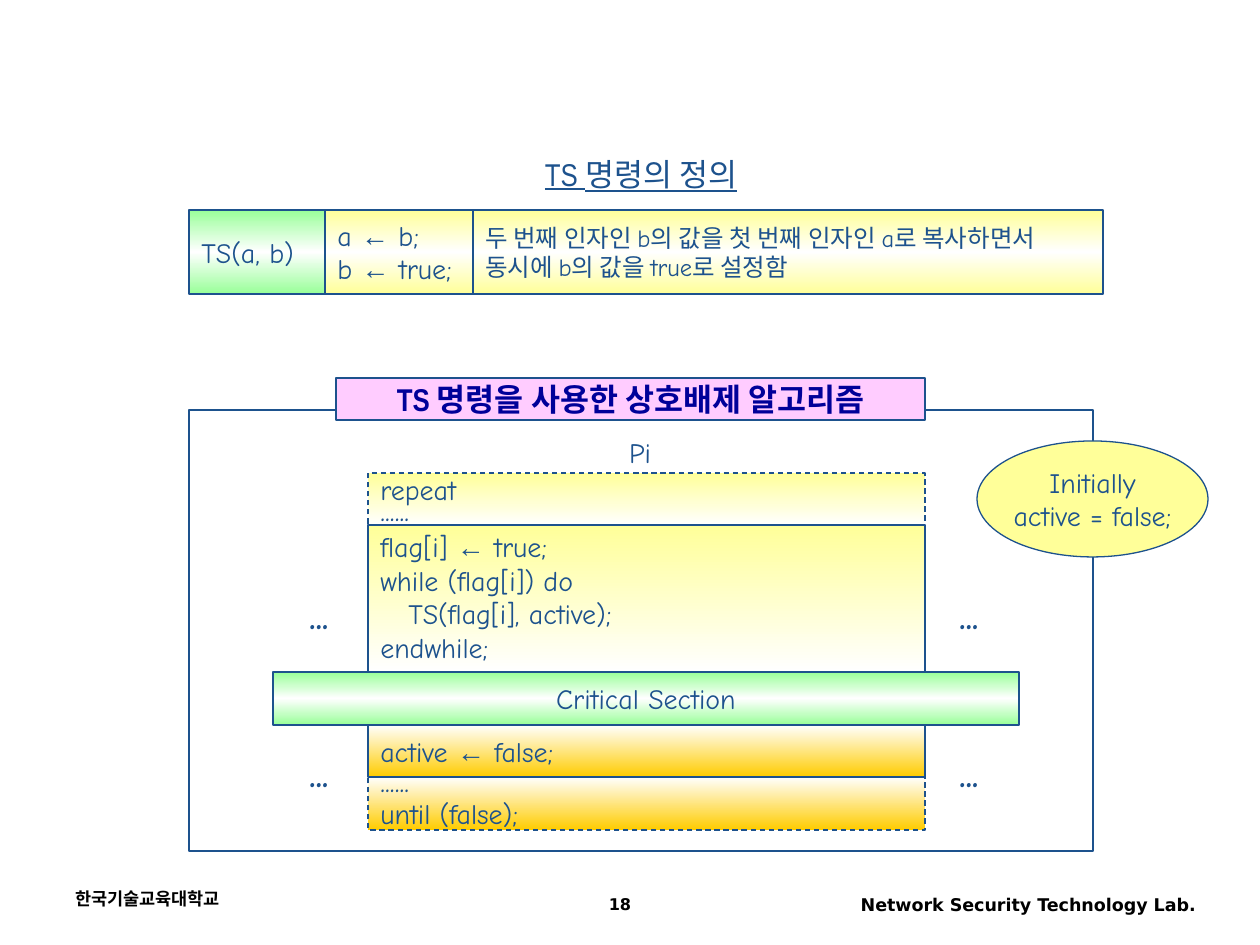
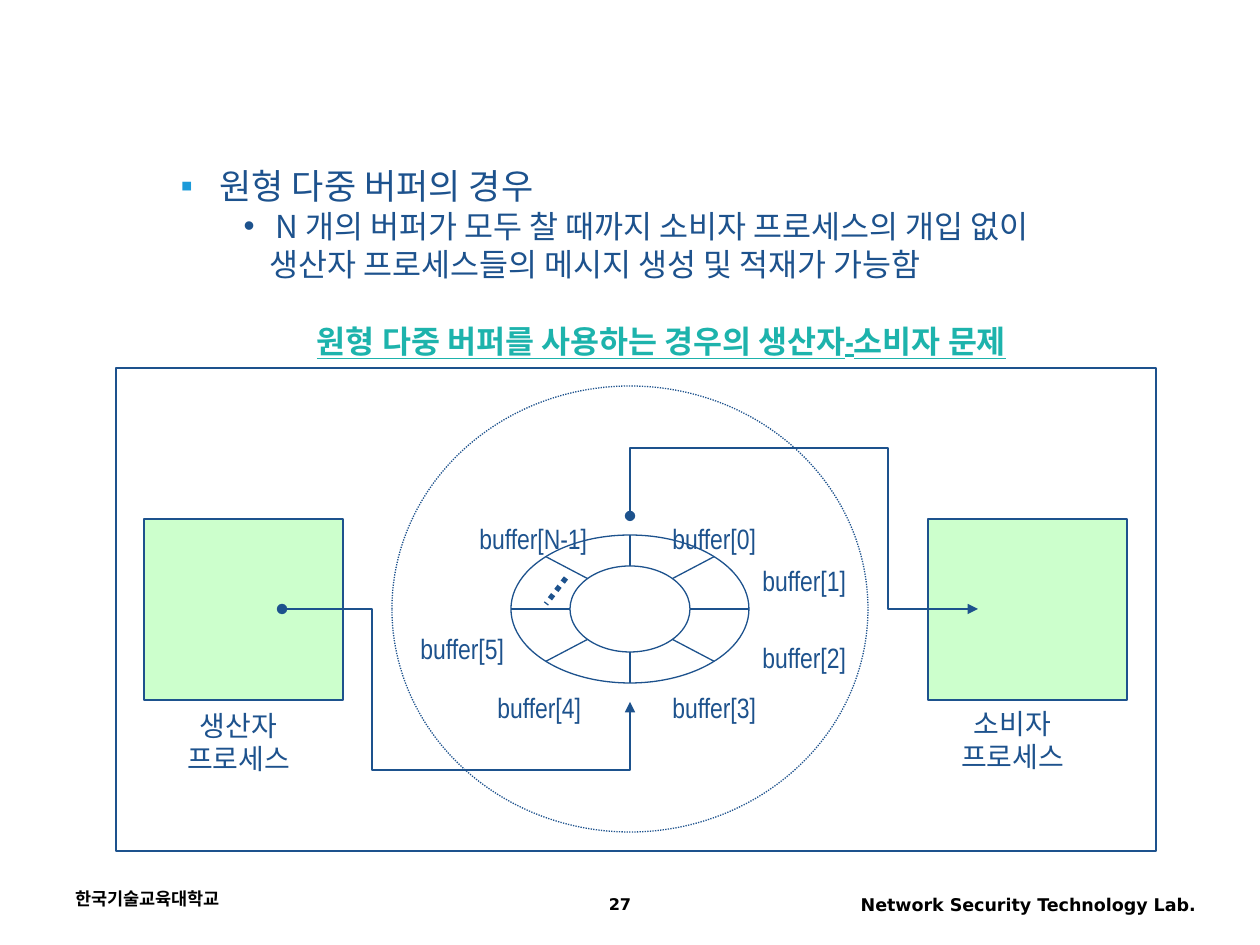
from math import cos, pi, sin

from lxml import etree
from pptx import Presentation
from pptx.dml.color import RGBColor
from pptx.enum.dml import MSO_LINE
from pptx.enum.shapes import MSO_CONNECTOR, MSO_SHAPE
from pptx.enum.text import MSO_ANCHOR, MSO_AUTO_SIZE, PP_ALIGN
from pptx.oxml.ns import qn
from pptx.util import Emu, Pt

PX = 914400 / 126
RECT, ELLIPSE = MSO_SHAPE.RECTANGLE, MSO_SHAPE.OVAL
STRAIGHT = MSO_CONNECTOR.STRAIGHT
LEFT, CENTER, RIGHT = PP_ALIGN.LEFT, PP_ALIGN.CENTER, PP_ALIGN.RIGHT
TOP, MIDDLE = MSO_ANCHOR.TOP, MSO_ANCHOR.MIDDLE
NO_AUTOFIT = MSO_AUTO_SIZE.NONE
DASH, DOTS = MSO_LINE.DASH, MSO_LINE.ROUND_DOT

COLORS = {
    "ink": "1D528D", "black": "000000", "white": "FFFFFF",
    "navy": "000099", "teal": "1DB3AC", "bullet": "1B9AD9",
    "green": "99FF99", "pale_green": "CCFFCC", "yellow": "FFFF99",
    "orange": "FFCC00", "pink": "FFCCFF",
}
CODE, NARROW, FOOTER, KOREAN, ARROW = (
    "Comic Neue", "Arial Narrow", "DejaVu Sans", "Noto Sans CJK KR", "Arial")
GREEN_BAND = ("green", "white", "green")
YELLOW_BAND = ("yellow", "white", "yellow")
YELLOW_FADE = ("yellow", "white")
ORANGE_FADE = ("white", "orange")
ELLIPSIS = ("......", {"size": 18, "line_spacing": 0.5})


def px(*values):
    return [Emu(round(v * PX)) for v in values]


def rgb(name):
    return RGBColor.from_string(COLORS[name])


def add_run(p, text, font, size, color, **flags):
    r = p.add_run()
    r.text = text
    formats = {"name": font, "size": Pt(size), **flags}
    for key, value in formats.items():
        setattr(r.font, key, value)
    r.font.color.rgb = rgb(color)
    etree.SubElement(r.font._element, qn("a:ea"), typeface=KOREAN)


def write(sp, lines, align=LEFT, anchor=MIDDLE, wrap=True, font=CODE,
          size=16, color="ink", **flags):
    """Fill a shape; a line is a string or (string, format overrides)."""
    tf = sp.text_frame
    frame = {"auto_size": NO_AUTOFIT, "word_wrap": wrap, "vertical_anchor": anchor}
    for key, value in frame.items():
        setattr(tf, key, value)
    for i, line in enumerate(lines):
        text, extra = (line, {}) if isinstance(line, str) else line
        p = tf.paragraphs[0] if i == 0 else tf.add_paragraph()
        p.alignment = align
        p.line_spacing = extra.get("line_spacing", 1.0)
        for part in text.partition("←"):
            if part:
                add_run(p, part, ARROW if part == "←" else font,
                        extra.get("size", size), color, **flags)


def add_text(s, box, lines, **style):
    sp = s.shapes.add_textbox(*px(*box))
    write(sp, lines, **style)


def set_line(sp, width=0.75, dash=None):
    sp.line.color.rgb = rgb("ink")
    sp.line.width = Pt(width)
    if dash:
        sp.line.dash_style = dash


def set_gradient(sp, names):
    """Spread the named colours evenly from top to bottom."""
    sp.fill.gradient()
    sp.fill.gradient_angle = 270
    stops = sp.element.spPr.find(qn("a:gradFill")).find(qn("a:gsLst"))
    for old in list(stops):
        stops.remove(old)
    for i, name in enumerate(names):
        stop = etree.SubElement(stops, qn("a:gs"),
                                pos=str(100000 * i // (len(names) - 1)))
        etree.SubElement(stop, qn("a:srgbClr"), val=COLORS[name])


def add_box(s, box, fill=None, lines=(), kind=RECT, dash=None, **style):
    sp = s.shapes.add_shape(kind, *px(*box))
    sp.shadow.inherit = False
    if fill is None:
        sp.fill.background()
    elif isinstance(fill, tuple):
        set_gradient(sp, fill)
    else:
        sp.fill.solid()
        sp.fill.fore_color.rgb = rgb(fill)
    set_line(sp, dash=dash)
    if lines:
        write(sp, lines, **style)


def add_ellipse(s, center, radii, dash=None):
    (cx, cy), (rx, ry) = center, radii
    add_box(s, (cx - rx, cy - ry, 2 * rx, 2 * ry), "white", kind=ELLIPSE, dash=dash)


def add_line(s, start, end, **line):
    cxn = s.shapes.add_connector(STRAIGHT, *px(*start, *end))
    set_line(cxn, **line)
    etree.SubElement(cxn.element.spPr, qn("a:effectLst"))


def add_flow(s, points):
    """Bent line with a dot at its start and an arrowhead at its end."""
    corners = [px(*point) for point in points]
    builder = s.shapes.build_freeform(*corners[0])
    builder.add_line_segments(corners[1:], close=False)
    sp = builder.convert_to_shape()
    sp.shadow.inherit = False
    sp.fill.background()
    set_line(sp)
    ln = sp.element.spPr.find(qn("a:ln"))
    etree.SubElement(ln, qn("a:headEnd"), type="oval")
    etree.SubElement(ln, qn("a:tailEnd"), type="triangle")


def place(sp, box):
    sp.left, sp.top, sp.width, sp.height = px(*box)


def add_slide(prs, layout, number, title, box, **style):
    s = prs.slides.add_slide(prs.slide_layouts[layout])
    place(s.shapes.title, box)
    write(s.shapes.title, [title], align=CENTER, wrap=False, font=NARROW,
          size=18, underline=True, **style)
    footers = [
        ((63, 882, 294, 42), "한국기술교육대학교", LEFT, 10),
        ((809, 888, 399, 40), "Network Security Technology Lab.", RIGHT, 10),
        ((473, 888, 294, 35), str(number), CENTER, 9.2),
    ]
    for place_px, text, align, size in footers:
        add_text(s, place_px, [text], align=align, anchor=TOP, font=FOOTER,
                 size=size, color="black", bold=True)
    return s


def fill_body(sp, items):
    """Each item is text, size, left margin, indent, spacing, bullet, colour."""
    write(sp, [(text, {"size": size, "line_spacing": spacing})
               for text, size, _, _, spacing, _, _ in items],
          anchor=TOP, font=KOREAN)
    for i, (p, item) in enumerate(zip(sp.text_frame.paragraphs, items)):
        _, _, margin, indent, _, bullet, color = item
        p.space_before = Pt(4.5 if i else 0)
        pPr = p._p.get_or_add_pPr()
        for key, value in zip(("marL", "indent"), px(margin, indent)):
            pPr.set(key, str(value))
        if bullet:
            bu_color = etree.SubElement(pPr, qn("a:buClr"))
            etree.SubElement(bu_color, qn("a:srgbClr"), val=COLORS[color])
            etree.SubElement(pPr, qn("a:buChar"), char=bullet)
        else:
            etree.SubElement(pPr, qn("a:buNone"))


def build_test_and_set(prs):
    s = add_slide(prs, 5, 18, "TS 명령의 정의", (368, 158, 546, 32))
    row_top, row_height = 210, 84
    add_box(s, (325, row_top, 148, row_height), YELLOW_BAND,
            ["a ← b;", "b ← true;"])
    add_box(s, (473, row_top, 630, row_height), YELLOW_BAND,
            ["두 번째 인자인 b의 값을 첫 번째 인자인 a로 복사하면서",
             "동시에 b의 값을 true로 설정함"], size=14)
    add_box(s, (189, row_top, 136, row_height), GREEN_BAND, ["TS(a, b)"])

    add_box(s, (189, 410, 904, 441))
    add_box(s, (336, 378, 589, 42), "pink", ["TS 명령을 사용한 상호배제 알고리즘"],
            align=CENTER, font=NARROW, size=18, color="navy", bold=True)
    add_text(s, (524, 431, 232, 42), ["Pi"], align=CENTER)

    loop = ["flag[i] ← true;", "while (flag[i]) do",
            "   TS(flag[i], active);", "endwhile;"]
    loop[0] = (loop[0], {"line_spacing": 0.9})
    steps = [
        (473, 52, YELLOW_FADE, ["repeat", ELLIPSIS], DASH),
        (525, 147, YELLOW_FADE, loop, None),
        (725, 52, ORANGE_FADE, ["active ← false;"], None),
        (777, 53, ORANGE_FADE, [ELLIPSIS, "until (false);"], DASH),
    ]
    for top, height, fill, lines, dash in steps:
        add_box(s, (368, top, 557, height), fill, lines, dash=dash)
    add_line(s, (368, 777), (925, 777))
    add_box(s, (273, 672, 746, 53), GREEN_BAND, ["Critical Section"], align=CENTER)

    for left in (297, 947):
        for top in (588, 746):
            add_text(s, (left, top, 44, 55), ["..."], align=CENTER,
                     wrap=False, size=20, bold=True)
    add_box(s, (977, 441, 231, 116), "yellow", ["Initially", "active = false;"],
            kind=ELLIPSE, align=CENTER, wrap=False)


def add_ring(s, center, outer, inner, sectors):
    add_ellipse(s, center, outer)
    add_ellipse(s, center, inner)
    cx, cy = center
    for i in range(sectors):
        angle = 2 * pi * i / sectors
        ends = [(cx + rx * cos(angle), cy + ry * sin(angle))
                for rx, ry in (inner, outer)]
        add_line(s, *ends)


def build_circular_buffer(prs):
    s = add_slide(prs, 1, 27, "원형 다중 버퍼를 사용하는 경우의 생산자-소비자 문제",
                  (273, 325, 777, 32), color="teal", bold=True)
    body = s.placeholders[1]
    place(body, (105, 158, 1103, 136))
    fill_body(body, [
        ("원형 다중 버퍼의 경우", 20, 102, -39, 1.0, "▪", "bullet"),
        ("N 개의 버퍼가 모두 찰 때까지 소비자 프로세스의 개입 없이",
         18, 158, -32, 0.8, "•", "ink"),
        ("생산자 프로세스들의 메시지 생성 및 적재가 가능함",
         18, 152, 0, 0.8, None, None),
    ])

    add_box(s, (116, 368, 1040, 483), "white")
    center = (630, 609)
    add_ellipse(s, center, (238, 223), dash=DOTS)
    add_ring(s, center, outer=(119, 74), inner=(60, 43), sectors=8)
    add_line(s, (566, 578), (546, 604), width=3, dash=DOTS)

    buffers = [("0", 660, 515), ("1", 750, 557), ("2", 750, 634),
               ("3", 660, 684), ("4", 485, 684), ("5", 408, 625),
               ("N-1", 467, 515)]
    for index, left, top in buffers:
        width = 108 if len(index) == 1 else 134
        add_text(s, (left, top, width, 47), [f"buffer[{index}]"],
                 anchor=TOP, wrap=False, font=NARROW)

    processes = [("생산자", 144, (175, 702)), ("소비자", 928, (949, 700))]
    for role, left, caption in processes:
        add_box(s, (left, 519, 199, 181), "pale_green")
        add_text(s, (*caption, 127, 80), [role, "프로세스"], align=CENTER,
                 anchor=TOP, wrap=False, font=NARROW)
    add_flow(s, [(282, 609), (372, 609), (372, 770), (630, 770), (630, 702)])
    add_flow(s, [(630, 516), (630, 448), (888, 448), (888, 609), (978, 609)])


def main():
    prs = Presentation()
    prs.slide_width, prs.slide_height = px(1260, 945)
    build_test_and_set(prs)
    build_circular_buffer(prs)
    prs.save("out.pptx")


if __name__ == "__main__":
    main()
